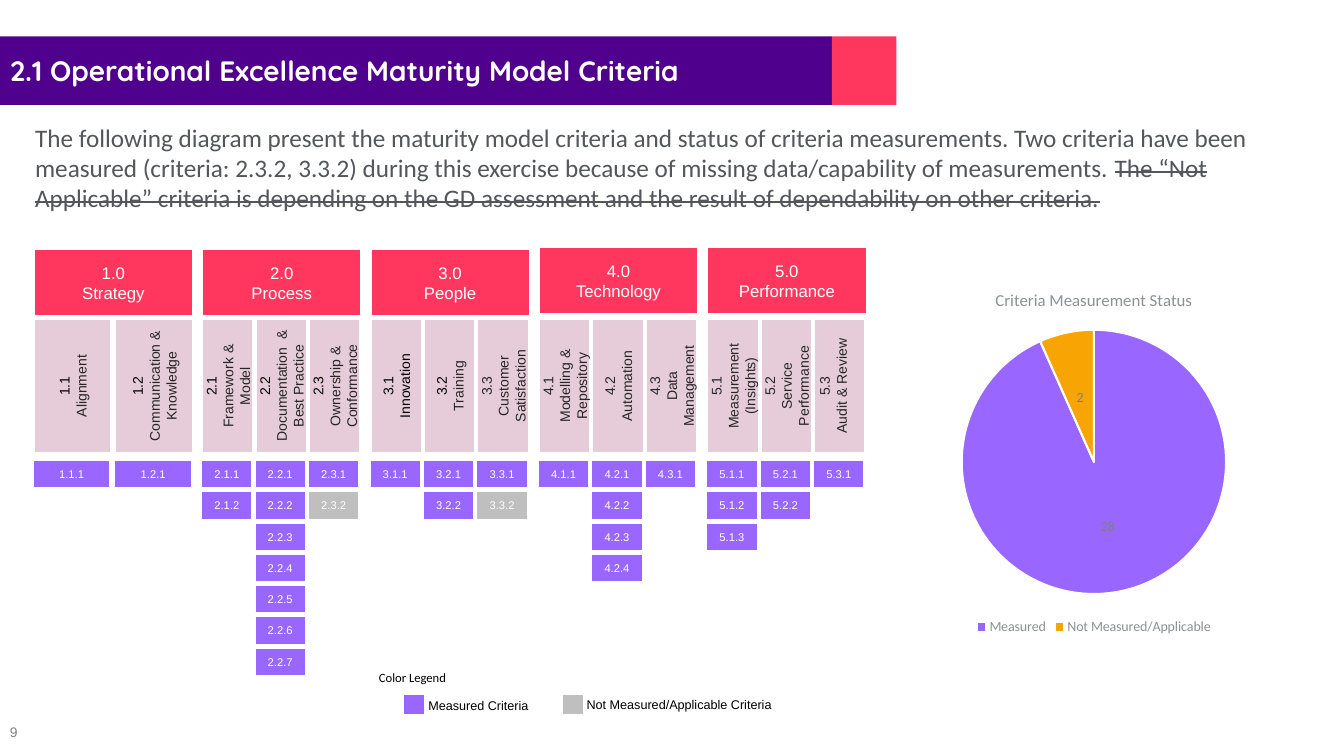
import pptx
import pptx.chart.data
import pptx.dml.color
import pptx.enum.chart
import pptx.enum.shapes
import pptx.enum.text
import pptx.util

PX = 9144  # one hundredth of an inch
COLOURS = {
    "banner": "4F008C", "accent": "FF375E", "column": "E5CCD8",
    "measured": "9966FF", "unmeasured": "BFBFBF", "orange": "F8A504",
    "white": "FFFFFF", "black": "000000", "dark": "262626", "body": "53565A",
    "chart_text": "8D9196", "chart_label": "7C8086", "page_number": "808080",
}
UNMEASURED = {"2.3.2", "3.3.2"}
# Pillar: name, header top, columns of (heading, number colour, criteria count)
PILLARS = [
    ("Strategy", 248, [("Alignment", "black", 1),
                       ("Communication & Knowledge", "black", 1)]),
    ("Process", 248, [("Framework & Model", "black", 2),
                      ("Documentation  & Best Practice", "black", 7),
                      ("Ownership & Conformance", "black", 2)]),
    ("People", 248, [("Innovation", "black", 1), ("Training", "black", 2),
                     ("Customer Satisfaction", "dark", 2)]),
    ("Technology", 246, [("Modelling & Repository", "dark", 1),
                         ("Automation", "dark", 4),
                         ("Data Management", "dark", 1)]),
    ("Performance", 246, [("Measurement (Insights)", "dark", 3),
                          ("Service Performance", "dark", 2),
                          ("Audit & Review", "dark", 1)]),
]
PILLAR_LEFT, PILLAR_STEP, PILLAR_WIDTH = 34, 167, 157
CHIP_TOP, CHIP_STEP, CHIP_HEIGHT = 457, 31, 27


def rgb(name):
    return pptx.dml.color.RGBColor.from_string(COLOURS[name])


def px(*lengths):
    return [pptx.util.Emu(length * PX) for length in lengths]


def style_font(font, size, colour, face="Arial"):
    font.size = pptx.util.Pt(size)
    font.name = face
    font.color.rgb = rgb(colour)


def add_box(page, left, top, width, height, fill, outlined=True):
    box = page.shapes.add_shape(pptx.enum.shapes.MSO_SHAPE.RECTANGLE,
                                *px(left, top, width, height))
    box.shadow.inherit = False
    box.fill.solid()
    box.fill.fore_color.rgb = rgb(fill)
    if outlined:
        box.line.color.rgb = rgb("white")
        box.line.width = pptx.util.Pt(0.75)
    else:
        box.line.fill.background()
    return box


def write_centred(box, lines, size, colour="white"):
    frame = box.text_frame
    frame.vertical_anchor = pptx.enum.text.MSO_ANCHOR.MIDDLE
    frame.text = "\n".join(lines)
    for para in frame.paragraphs:
        para.alignment = pptx.enum.text.PP_ALIGN.CENTER
        style_font(para.font, size, colour)


def add_label(page, left, top, width, height, text, size, colour,
              face="Arial", wrap=True):
    label = page.shapes.add_textbox(*px(left, top, width, height))
    frame = label.text_frame
    frame.word_wrap = wrap
    frame.text = text
    style_font(frame.paragraphs[0].font, size, colour, face)
    return label


def add_banner(page):
    title = page.shapes.title
    title.left, title.top, title.width, title.height = px(0, 36, 825, 68)
    title.fill.solid()
    title.fill.fore_color.rgb = rgb("banner")
    frame = title.text_frame
    frame.text = "2.1 Operational Excellence Maturity Model Criteria"
    frame.auto_size = pptx.enum.text.MSO_AUTO_SIZE.NONE
    frame.vertical_anchor = pptx.enum.text.MSO_ANCHOR.MIDDLE
    para = frame.paragraphs[0]
    para.alignment = pptx.enum.text.PP_ALIGN.LEFT
    style_font(para.font, 20, "white", "Quicksand")
    para.font.bold = True
    add_box(page, 825, 36, 64, 68, "accent", outlined=False)


def add_introduction(page):
    label = add_label(
        page, 25, 116, 1252, 101,
        "The following diagram present the maturity model criteria and status of "
        "criteria measurements. Two criteria have been measured (criteria: 2.3.2, "
        "3.3.2) during this exercise because of missing data/capability of "
        "measurements. ", 18, "body", "Calibri")
    span = label.text_frame.paragraphs[0].add_run()
    span.text = ("The “Not Applicable” criteria is depending on the GD assessment "
                 "and the result of dependability on other criteria.")
    span.font._element.set("strike", "sngStrike")


def add_column_heading(page, left, width, number, heading, number_colour):
    """Draw a heading that reads upwards, its number coloured apart."""
    box = add_box(page, left, 317, width, 132, "column")
    inline = number == "1.2"
    write_centred(box, [f"{number} "] if inline else [number, heading], 10, "dark")
    frame = box.text_frame
    frame._txBody.bodyPr.set("vert", "vert270")
    first = frame.paragraphs[0]
    first.runs[0].font.color.rgb = rgb(number_colour)
    if inline:
        first.add_run().text = heading
    if number == "3.1":
        frame.paragraphs[1].font.color.rgb = rgb("black")
    if number == "5.3":
        frame.margin_left, frame.margin_right = px(0, 14)


def add_pillar(page, number, name, header_top, columns):
    left = PILLAR_LEFT + (number - 1) * PILLAR_STEP
    header = add_box(page, left, header_top, PILLAR_WIDTH, 65, "accent")
    write_centred(header, [f"{number}.0", name], 12)
    step, width = (81, 76) if len(columns) == 2 else (53, 50)
    for index, (heading, number_colour, count) in enumerate(columns):
        column_left = left + index * step
        column_number = f"{number}.{index + 1}"
        add_column_heading(page, column_left, width, column_number, heading,
                           number_colour)
        for row in range(count):
            criterion = f"{column_number}.{row + 1}"
            fill = "unmeasured" if criterion in UNMEASURED else "measured"
            chip = add_box(page, column_left - 1, CHIP_TOP + row * CHIP_STEP,
                           width, CHIP_HEIGHT, fill)
            write_centred(chip, [criterion], 8)


def add_colour_legend(page):
    add_label(page, 366, 660, 88, 25, "Color Legend", 9, "black", "Calibri", False)
    add_box(page, 400, 689, 21, 20, "measured")
    add_label(page, 415, 687, 124, 25, "Measured Criteria", 9, "black", wrap=False)
    add_box(page, 558, 689, 21, 20, "unmeasured")
    add_label(page, 572, 686, 253, 25, "Not Measured/Applicable Criteria", 9, "black")


def add_status_chart(page):
    data = pptx.chart.data.CategoryChartData()
    data.categories = ["Measured", "Not Measured/Applicable"]
    data.add_series("Series 1", [28, 2])
    chart = page.shapes.add_chart(pptx.enum.chart.XL_CHART_TYPE.PIE,
                                  *px(843, 271, 484, 363), data).chart
    style_font(chart.font, 10, "body", "Calibri")
    chart.has_title = True
    title_frame = chart.chart_title.text_frame
    title_frame.text = "Criteria Measurement Status"
    title_font = title_frame.paragraphs[0].font
    style_font(title_font, 12, "chart_text", "Calibri")
    title_font.bold = False
    chart.has_legend = True
    chart.legend.position = pptx.enum.chart.XL_LEGEND_POSITION.BOTTOM
    chart.legend.include_in_layout = False
    style_font(chart.legend.font, 10, "chart_text", "Calibri")
    plot = chart.plots[0]
    plot.vary_by_categories = True
    for index, colour in enumerate(["measured", "orange"]):
        piece = plot.series[0].points[index].format
        piece.fill.solid()
        piece.fill.fore_color.rgb = rgb(colour)
        piece.line.color.rgb = rgb("white")
        piece.line.width = pptx.util.Pt(1.5)
    labels = plot.series[0].data_labels
    labels.show_value = True
    labels.position = pptx.enum.chart.XL_LABEL_POSITION.CENTER
    style_font(labels.font, 10, "chart_label", "Calibri")


def add_page_number(page):
    frame = add_label(page, 0, 716, 49, 20, "9", 9.9, "page_number").text_frame
    frame.margin_top = frame.margin_bottom = 0
    frame.vertical_anchor = pptx.enum.text.MSO_ANCHOR.MIDDLE


def main():
    deck = pptx.Presentation()
    deck.slide_width, deck.slide_height = px(1333, 750)
    page = deck.slides.add_slide(deck.slide_layouts[5])
    add_banner(page)
    add_page_number(page)
    for number, (name, header_top, columns) in enumerate(PILLARS, start=1):
        add_pillar(page, number, name, header_top, columns)
    add_colour_legend(page)
    add_status_chart(page)
    add_introduction(page)
    deck.save("out.pptx")


if __name__ == "__main__":
    main()
